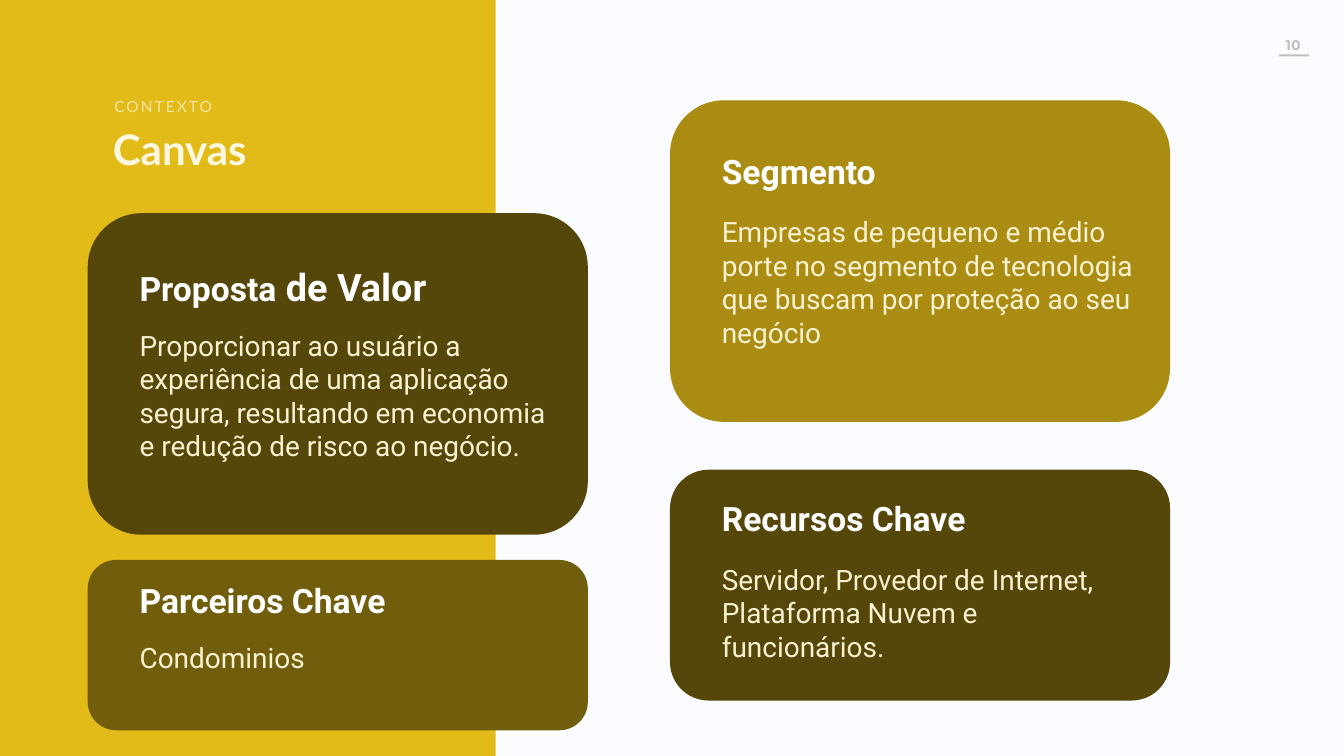
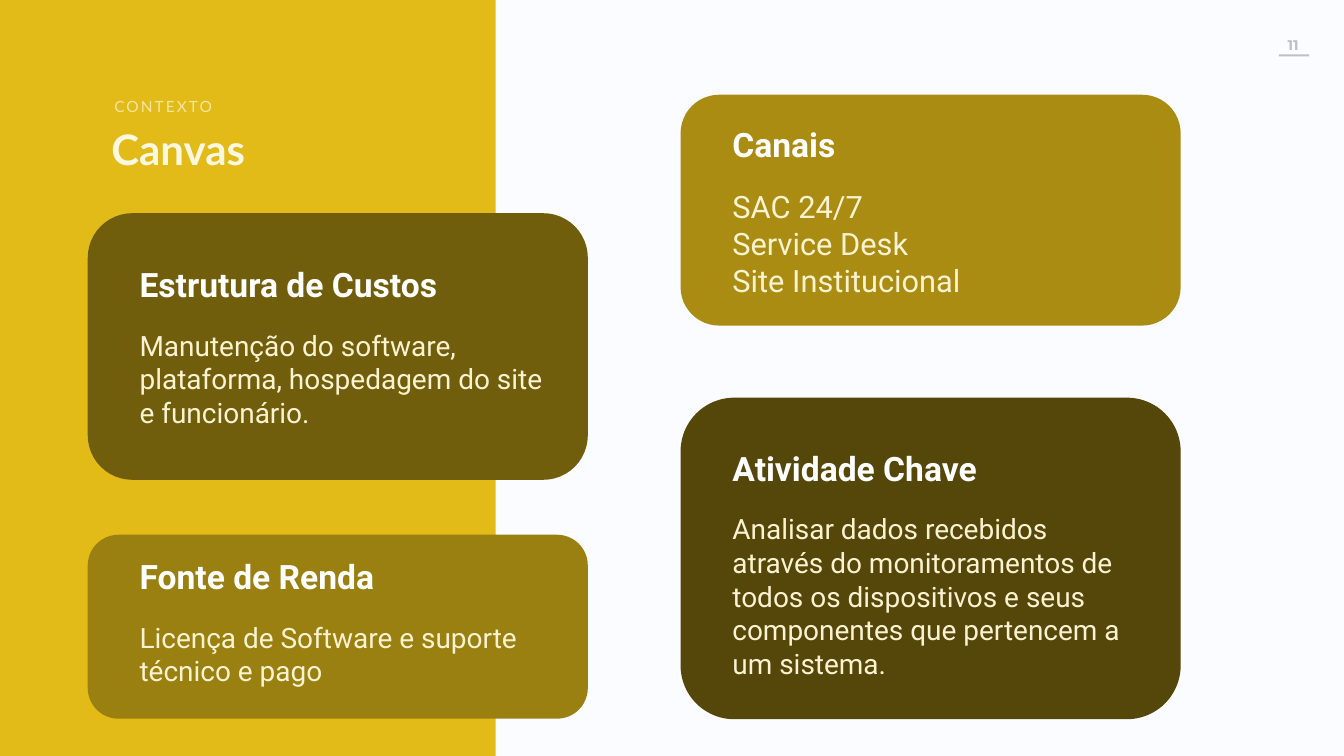
"""Build two business canvas slides with coloured cards beside a yellow band."""
from pptx import Presentation
from pptx.dml.color import RGBColor
from pptx.enum.shapes import MSO_SHAPE
from pptx.enum.text import MSO_ANCHOR, MSO_AUTO_SIZE, PP_ALIGN
from pptx.util import Inches, Pt

COLORS = {
    "background": "FAFCFF", "band": "E2BB19", "number": "BFBFBF",
    "title": "FCF7E0", "kicker": "F5E5A2", "heading": "FFFFFF", "body": "FAF2D0",
    "dark": "55460A", "brown": "715E0C", "olive": "998010", "gold": "AA8C13",
}
CARD_WIDTH, CARD_PADDING, CARD_ROUNDING = 9.92, 0.93, 0.167
HEADING_WIDTH, HEADING_HEIGHT, BODY_WIDTH = 6.69, 0.9, 8.36
LEFT_COLUMN = 1.74

SLIDES = [
    {"number": "10", "title_left": 2.14, "right_column": 13.29, "cards": [
        {"column": "left", "top": 4.23, "height": 6.38, "color": "dark",
         "heading": [("Proposta", 48), (" de Valor", 54)], "heading_top": 5.18,
         "body": ["Proporcionar ao usuário a experiência de uma aplicação segura, "
                  "resultando em economia e redução de risco ao negócio."],
         "body_top": 6.46, "body_height": 3.43},
        {"column": "right", "top": 1.99, "height": 6.38, "color": "gold",
         "heading": [("Segmento", 48)], "heading_top": 2.94,
         "body": ["Empresas de pequeno e médio porte no segmento de tecnologia "
                  "que buscam por proteção ao seu negócio"],
         "body_top": 4.21, "body_height": 2.76},
        {"column": "right", "top": 9.32, "height": 4.58, "color": "dark",
         "heading": [("Recursos Chave", 48)], "heading_top": 9.84,
         "body": ["Servidor, Provedor de Internet, Plataforma Nuvem e funcionários."],
         "body_top": 11.11, "body_height": 2.1},
        {"column": "left", "top": 11.11, "height": 3.38, "color": "brown",
         "heading": [("Parceiros Chave", 48)], "heading_top": 11.46,
         "body": ["Condominios"], "body_top": 12.65, "body_height": 0.77},
    ]},
    {"number": "11", "title_left": 2.11, "right_column": 13.5, "cards": [
        {"column": "left", "top": 4.23, "height": 5.29, "color": "brown",
         "heading": [("Estrutura de Custos", 48)], "heading_top": 5.18,
         "body": ["Manutenção do software, plataforma, hospedagem do site e funcionário."],
         "body_top": 6.46, "body_height": 2.1},
        {"column": "right", "top": 7.89, "height": 6.38, "color": "dark",
         "heading": [("Atividade Chave", 48)], "heading_top": 8.84,
         "body": ["Analisar dados recebidos através do monitoramentos de todos os "
                  "dispositivos e seus componentes que pertencem a um sistema."],
         "body_top": 10.11, "body_height": 3.43},
        {"column": "left", "top": 10.61, "height": 3.65, "color": "olive",
         "heading": [("Fonte de Renda", 48)], "heading_top": 10.98,
         "body": ["Licença de Software e suporte técnico e pago"],
         "body_top": 12.26, "body_height": 1.43},
        {"column": "right", "top": 1.88, "height": 4.58, "color": "gold",
         "heading": [("Canais", 48)], "heading_top": 2.4,
         "body": ["SAC 24/7", "Service Desk", "Site Institucional"], "body_size": 44,
         "body_top": 3.68, "body_height": 2.3},
    ]},
]


def rgb(name):
    return RGBColor.from_string(COLORS[name])


def write_text(shape, paragraphs, color, font="Roboto", bold=False, wrap=True,
               align=PP_ALIGN.LEFT, spacing=None):
    """Fill a shape with paragraphs, each a list of (text, size) runs."""
    frame = shape.text_frame
    frame.auto_size = MSO_AUTO_SIZE.NONE
    frame.word_wrap = wrap
    frame.vertical_anchor = MSO_ANCHOR.TOP
    for index, runs in enumerate(paragraphs):
        paragraph = frame.add_paragraph() if index else frame.paragraphs[0]
        paragraph.alignment = align
        for text, size in runs:
            run = paragraph.add_run()
            run.text = text
            run.font.size = Pt(size)
            run.font.name = font
            run.font.bold = bold
            run.font.color.rgb = rgb(color)
            if spacing:
                run.font._element.set("spc", str(spacing * 100))


def add_text(shapes, paragraphs, box, color, **text_format):
    shape = shapes.add_textbox(*map(Inches, box))
    write_text(shape, paragraphs, color, **text_format)


def add_block(shapes, box, color, kind=MSO_SHAPE.RECTANGLE):
    shape = shapes.add_shape(kind, *map(Inches, box))
    shape.shadow.inherit = False
    shape.fill.solid()
    shape.fill.fore_color.rgb = rgb(color)
    shape.line.fill.background()
    return shape


def add_frame(slide, number, title_left):
    """Add the background, band, title and page number shared by all slides."""
    slide.background.fill.solid()
    slide.background.fill.fore_color.rgb = rgb("background")
    band = add_block(slide.shapes, (-0.09, 0, 9.92, 15), "band")
    title = slide.shapes.title
    title.element.addprevious(band.element)
    title.left, title.top, title.width, title.height = map(
        Inches, (title_left, 2.4, 3.56, 1.1))
    write_text(title, [[("Canvas", 60)]], "title", font="Lato", bold=True, wrap=False)
    add_text(slide.shapes, [[("CONTEXTO", 22)]], (2.17, 1.88, 2.18, 0.47), "kicker",
             font="Lato", wrap=False, spacing=3)
    add_text(slide.shapes, [[(number, 20)]], (24.52, 0.67, 2.26, 0.53), "number",
             font="Montserrat", bold=True, wrap=False, align=PP_ALIGN.CENTER)
    add_block(slide.shapes, (25.37, 1.08, 0.6, 0.04), "number")


def add_card(slide, card, left):
    shapes = slide.shapes.add_group_shape().shapes
    panel = add_block(shapes, (left, card["top"], CARD_WIDTH, card["height"]),
                      card["color"], MSO_SHAPE.ROUNDED_RECTANGLE)
    panel.adjustments[0] = CARD_ROUNDING
    text_left = left + CARD_PADDING
    add_text(shapes, [card["heading"]],
             (text_left, card["heading_top"], HEADING_WIDTH, HEADING_HEIGHT),
             "heading", bold=True)
    size = card.get("body_size", 40)
    add_text(shapes, [[(text, size)] for text in card["body"]],
             (text_left, card["body_top"], BODY_WIDTH, card["body_height"]), "body")


def main():
    presentation = Presentation()
    presentation.slide_width, presentation.slide_height = Inches(26.66), Inches(15)
    for content in SLIDES:
        slide = presentation.slides.add_slide(presentation.slide_layouts[5])
        add_frame(slide, content["number"], content["title_left"])
        columns = {"left": LEFT_COLUMN, "right": content["right_column"]}
        for card in content["cards"]:
            add_card(slide, card, columns[card["column"]])
    presentation.save("out.pptx")


if __name__ == "__main__":
    main()
